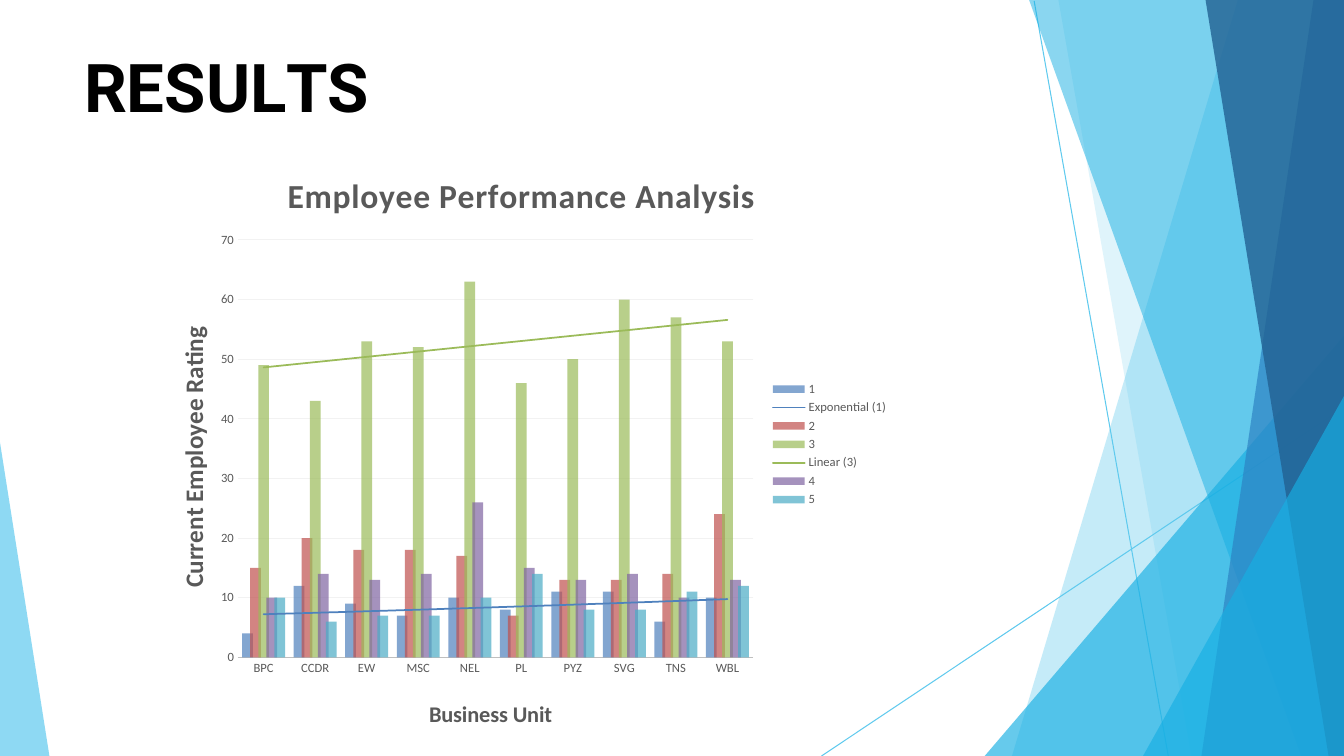
from lxml import etree
from pptx import Presentation
from pptx.chart.data import CategoryChartData
from pptx.dml.color import RGBColor
from pptx.enum.chart import XL_CHART_TYPE as ChartType, XL_LEGEND_POSITION as LegendSide
from pptx.enum.chart import XL_TICK_MARK as TickMark
from pptx.enum.shapes import MSO_CONNECTOR as Connector
from pptx.enum.text import MSO_ANCHOR as Anchor
from pptx.oxml import parse_xml
from pptx.oxml.ns import nsdecls, qn
from pptx.util import Pt

# Content
WIDTH, HEIGHT = 960, 540
THIN_LINES = [((738.7, 0.7), (834.5, 540)), ((960, 290.9), (586.8, 540))]
# Facets: corners, colour, opacity in percent
RIGHT_EDGE = [(WIDTH, HEIGHT), (WIDTH, 0)]
FACETS = [
    (RIGHT_EDGE + [(884.2, 0), (722.9, 540)], "5FCAEE", 36),
    (RIGHT_EDGE + [(756, 0), (851, 540)], "5FCAEE", 20),
    ([(960, 239.8), (703.4, 540), (960, 540)], "17AFE3", 66),
    (RIGHT_EDGE + [(735.1, 0), (929.5, 540)], "17AFE3", 50),
    (RIGHT_EDGE + [(938.2, 0), (858.2, 540)], "2D83C3", 70),
    (RIGHT_EDGE + [(861.1, 0), (949, 540)], "226192", 80),
    ([(960, 283), (816.5, 540), (960, 540)], "17AFE3", 66),
    ([(0, 316.1), (0, 540), (35.3, 540)], "5FCAEE", 70),
]
# Heading letters with their spacing in points
HEADING = [("R", 0), ("E", -0.4), ("S", 0.1), ("U", -0.3), ("L", -4), ("TS", 0)]
UNITS = ["BPC", "CCDR", "EW", "MSC", "NEL", "PL", "PYZ", "SVG", "TNS", "WBL"]
# Rating: counts per unit, colour, trend type
RATINGS = {
    "1": ([4, 12, 9, 7, 10, 8, 11, 11, 6, 10], "4F81BD", "exp"),
    "2": ([15, 20, 18, 18, 17, 7, 13, 13, 14, 24], "C0504D", None),
    "3": ([49, 43, 53, 52, 63, 46, 50, 60, 57, 53], "9BBB59", "linear"),
    "4": ([10, 14, 13, 14, 26, 15, 13, 14, 10, 13], "8064A2", None),
    "5": ([10, 6, 7, 7, 10, 14, 8, 8, 11, 12], "4BACC6", None),
}
GREY = "595959"


def color(code):
    return RGBColor.from_string(code)


def paint(fill, code, opacity):
    fill.solid()
    fill.fore_color.rgb = color(code)
    solid = fill._xPr.find(qn("a:solidFill"))
    etree.SubElement(solid[0], qn("a:alpha")).set("val", str(opacity * 1000))


def style(font, size, code, bold=False, name="Calibri"):
    font.size, font.bold, font.name = Pt(size), bold, name
    font.color.rgb = color(code)


def set_spacing(span, points):
    span._r.get_or_add_rPr().set("spc", str(round(points * 100)))


def place(element, index, **parts):
    """Fix a chart part at fractions of the chart's size."""
    for old in element.findall(qn("c:layout")):
        element.remove(old)
    target = '<c:layoutTarget val="inner"/>' if index == 0 else ""
    modes = "".join(f'<c:{key}Mode val="edge"/>' for key in "xy")
    values = "".join(f'<c:{key} val="{value}"/>' for key, value in parts.items())
    element.insert(index, parse_xml(
        f'<c:layout {nsdecls("c")}><c:manualLayout>{target}{modes}{values}'
        "</c:manualLayout></c:layout>"))


def write_title(title, text, size, x, y, spacing=0):
    title.text_frame.text = text
    span = title.text_frame.paragraphs[0].runs[0]
    style(span.font, size, GREY, bold=True)
    set_spacing(span, spacing)
    place(title._element, 1, x=x, y=y)


def add_trend(series, kind, code):
    series._element.find(qn("c:cat")).addprevious(parse_xml(
        f'<c:trendline {nsdecls("c", "a")}><c:spPr><a:ln w="{Pt(1.25)}" cap="rnd">'
        f'<a:solidFill><a:srgbClr val="{code}"/></a:solidFill></a:ln></c:spPr>'
        f'<c:trendlineType val="{kind}"/><c:dispRSqr val="0"/><c:dispEq val="0"/>'
        "</c:trendline>"))


deck = Presentation()
deck.slide_width, deck.slide_height = Pt(WIDTH), Pt(HEIGHT)
page = deck.slides.add_slide(deck.slide_layouts[6])

# Background lines and facets
for start, end in THIN_LINES:
    line = page.shapes.add_connector(Connector.STRAIGHT, *map(Pt, start + end))
    line.line.color.rgb = color("5FCAEE")
    line.line.width = Pt(0.75)
    etree.SubElement(line._element.spPr, qn("a:effectLst"))

for corners, code, opacity in FACETS:
    points = [(Pt(x), Pt(y)) for x, y in corners]
    builder = page.shapes.build_freeform(*points[0])
    builder.add_line_segments(points[1:], close=True)
    facet = builder.convert_to_shape()
    facet.shadow.inherit = False
    facet.line.fill.background()
    paint(facet.fill, code, opacity)

# Heading
box = page.shapes.add_textbox(Pt(60), Pt(30), Pt(841), Pt(63))
frame = box.text_frame
frame.word_wrap = True
frame.vertical_anchor = Anchor.MIDDLE
frame.margin_left = frame.margin_right = frame.margin_top = frame.margin_bottom = 0
para = frame.paragraphs[0]
for letters, spacing in HEADING:
    span = para.add_run()
    span.text = letters
    style(span.font, 48, "000000", bold=True, name="Roboto")
    set_spacing(span, spacing)

# Chart
data = CategoryChartData()
data.categories = UNITS
for rating, (counts, _, _) in RATINGS.items():
    data.add_series(rating, counts)
chart = page.shapes.add_chart(
    ChartType.COLUMN_CLUSTERED, Pt(102), Pt(102), Pt(539), Pt(431), data).chart
style(chart.font, 10, "000000")
place(chart._chartSpace.chart.plotArea, 0, x=0.126, y=0.161, w=0.683, h=0.692)

plot = chart.plots[0]
plot.gap_width, plot.overlap, plot.vary_by_categories = 80, 25, False
for series, (_, code, trend) in zip(plot.series, RATINGS.values()):
    paint(series.format.fill, code, 70)
    if trend:
        add_trend(series, trend, code)

# Axes
units, counts = chart.category_axis, chart.value_axis
for axis in (units, counts):
    axis.major_tick_mark = axis.minor_tick_mark = TickMark.NONE
    style(axis.tick_labels.font, 9, GREY)
units.format.line.color.rgb = color("BFBFBF")
units.format.line.width = Pt(1.25)
counts.format.line.fill.background()
counts.minimum_scale, counts.maximum_scale, counts.major_unit = 0, 70, 10
grid = counts.major_gridlines.format.line
grid.color.rgb = color("F2F2F2")
grid.width = Pt(0.75)

# Chart titles and legend
write_title(chart.chart_title, "Employee Performance Analysis", 24, 0.184, 0.04, 0.5)
write_title(units.axis_title, "Business Unit", 16, 0.374, 0.915)
write_title(counts.axis_title, "Current Employee Rating", 18, 0.038, 0.297)
chart.has_legend = True
legend = chart.legend
legend.position = LegendSide.RIGHT
legend.include_in_layout = False
style(legend.font, 9, GREY)
place(legend._element, 1, x=0.83, y=0.39, w=0.16, h=0.22)

deck.save("out.pptx")
